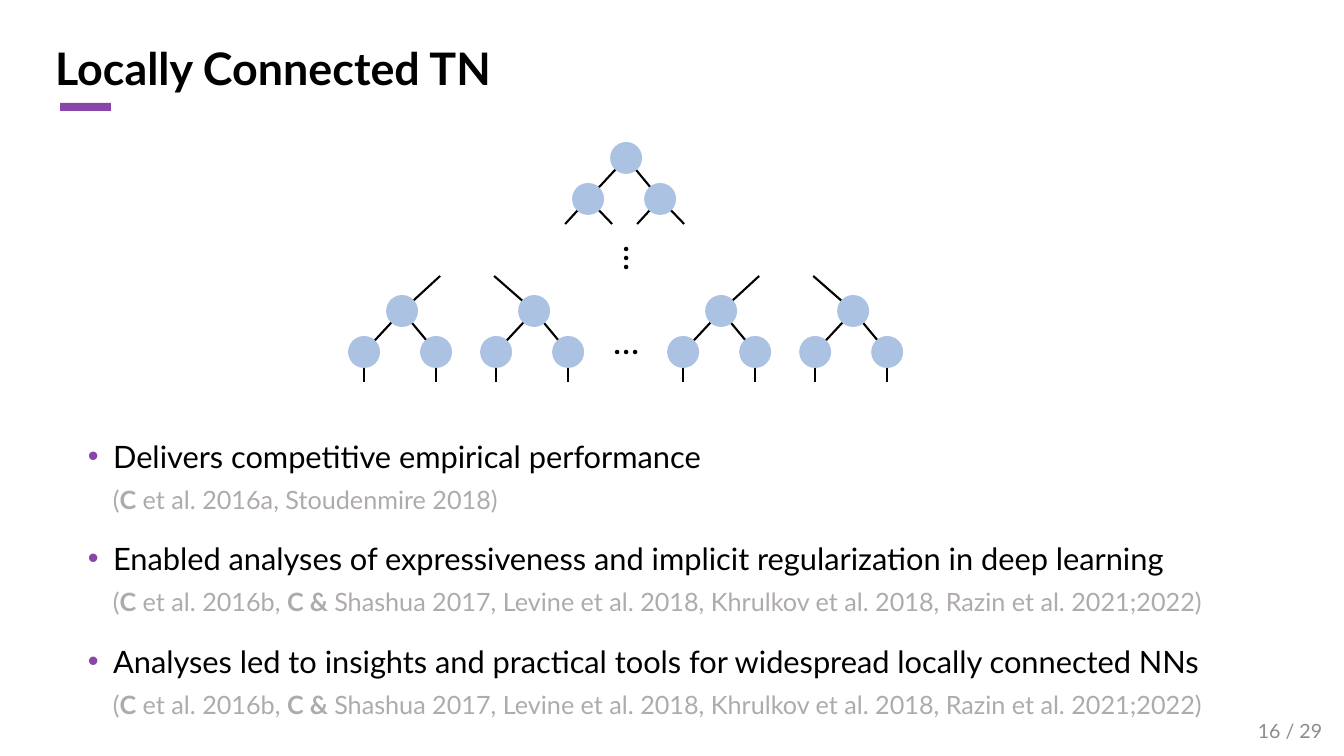
import pptx
import pptx.dml.color
import pptx.enum.shapes
import pptx.enum.text
import pptx.oxml.ns
import pptx.util
from lxml import etree

RGB = pptx.dml.color.RGBColor
BLACK = RGB(0x00, 0x00, 0x00)
PURPLE = RGB(0x89, 0x45, 0xAA)
NODE_BLUE = RGB(0xAC, 0xC2, 0xE2)
CITE_GRAY = RGB(0xAF, 0xAB, 0xAB)
PAGE_GRAY = RGB(0x8C, 0x8C, 0x8C)

SHAPE = pptx.enum.shapes.MSO_SHAPE
ALIGN = pptx.enum.text.PP_ALIGN
MIDDLE = pptx.enum.text.MSO_ANCHOR.MIDDLE
FONT = "Lato"
PX_PER_INCH = 100.8

# Tree geometry in px
NODE = 32
DOT = 3
LEFT_CHILD, RIGHT_CHILD, LEVEL = -38, 34, 41
MID_X = 626
TOP_Y, LOWER_Y = 158, 311
LOWER_ROOTS = [(402, 38), (534, -40), (721, 38), (853, -40)]  # x, run of the line up

MANY_WORKS = [
    ("(", False), ("C", True), (" et al. 2016b, ", False), ("C & ", True),
    ("Shashua 2017, Levine et al. 2018, Khrulkov et al. 2018, "
     "Razin et al. 2021;2022)", False),
]
POINTS = [
    ("Delivers competitive empirical performance",
     [("(", False), ("C", True), (" et al. 2016a, Stoudenmire 2018)", False)]),
    ("Enabled analyses of expressiveness and implicit regularization in deep learning",
     MANY_WORKS),
    ("Analyses led to insights and practical tools for widespread locally connected NNs",
     MANY_WORKS),
]


def px(n):
    return pptx.util.Emu(round(n * 914400 / PX_PER_INCH))


def add_runs(p, runs, size, color):
    for text, bold in runs:
        r = p.add_run()
        r.text = text
        r.font.name = FONT
        r.font.size = pptx.util.Pt(size)
        r.font.bold = bold
        r.font.color.rgb = color


def add_text(s, x, y, w, h, runs, size, color, spacing=1.1):
    tf = s.shapes.add_textbox(px(x), px(y), px(w), px(h)).text_frame
    tf.word_wrap = True
    p = tf.paragraphs[0]
    p.line_spacing = spacing
    add_runs(p, runs, size, color)
    return tf


def add_bullet(p):
    pPr = p._p.get_or_add_pPr()
    indent = pptx.util.Inches(0.25)
    pPr.set("marL", str(indent))
    pPr.set("indent", str(-indent))
    qn = pptx.oxml.ns.qn
    clr = etree.SubElement(pPr, qn("a:buClr"))
    etree.SubElement(clr, qn("a:srgbClr"), val=str(PURPLE))
    etree.SubElement(pPr, qn("a:buFont"), typeface="Arial")
    etree.SubElement(pPr, qn("a:buChar"), char="•")


def add_filled(s, kind, x, y, w, h, color):
    sp = s.shapes.add_shape(kind, px(x), px(y), px(w), px(h))
    sp.shadow.inherit = False
    sp.fill.solid()
    sp.fill.fore_color.rgb = color
    sp.line.fill.background()
    return sp


def add_node(s, x, y):
    add_filled(s, SHAPE.OVAL, x - NODE / 2, y - NODE / 2, NODE, NODE, NODE_BLUE)


def add_edge(s, x1, y1, x2, y2):
    line = s.shapes.add_connector(pptx.enum.shapes.MSO_CONNECTOR.STRAIGHT,
                                  px(x1), px(y1), px(x2), px(y2))
    line.line.color.rgb = BLACK
    line.line.width = pptx.util.Pt(1.5)
    etree.SubElement(line._element.spPr, pptx.oxml.ns.qn("a:effectLst"))


def add_dots(s, x, y, dx, dy):
    for i in (-1, 0, 1):
        sp = add_filled(s, SHAPE.OVAL, x + i * dx - DOT / 2, y + i * dy - DOT / 2,
                        DOT, DOT, BLACK)
        sp.line.color.rgb = BLACK
        sp.line.width = pptx.util.Pt(1)


def add_subtree(s, x, y, leg_runs, leg_drop):
    """Draw a root, its two children, and the open legs below each child."""
    children = [x + LEFT_CHILD, x + RIGHT_CHILD]
    child_y = y + LEVEL
    for cx in children:
        add_edge(s, x, y, cx, child_y)
        for run in leg_runs:
            add_edge(s, cx, child_y, cx + run, child_y + leg_drop)
    add_node(s, x, y)
    for cx in children:
        add_node(s, cx, child_y)


def add_tree(s):
    add_subtree(s, MID_X, TOP_Y, leg_runs=(-23, 24), leg_drop=25)
    for x, run in LOWER_ROOTS:
        add_edge(s, x, LOWER_Y, x + run, LOWER_Y - 35)
        add_subtree(s, x, LOWER_Y, leg_runs=(0,), leg_drop=30)
    add_dots(s, MID_X, 258, 0, 9)
    add_dots(s, MID_X, LOWER_Y + LEVEL, 9, 0)


def add_title(s, text):
    sp = s.shapes.title
    sp.left, sp.top, sp.width, sp.height = px(45), px(24), px(1159), px(93)
    tf = sp.text_frame
    tf.vertical_anchor = MIDDLE
    p = tf.paragraphs[0]
    p.alignment = ALIGN.LEFT
    p.line_spacing = 0.9
    add_runs(p, [(text, True)], 32, BLACK)
    add_filled(s, SHAPE.RECTANGLE, 60, 103, 51, 8, PURPLE)


def main():
    prs = pptx.Presentation()
    prs.slide_width = pptx.util.Inches(13.33)
    prs.slide_height = pptx.util.Inches(7.5)
    s = prs.slides.add_slide(prs.slide_layouts[5])

    # Title and tree diagram
    add_title(s, "Locally Connected TN")
    add_tree(s)

    # Points, each with its citations
    for i, (point, citation) in enumerate(POINTS):
        y = 429 + i * 205 // 2
        tf = add_text(s, 78, y, 1159, 58, [(point, False)], 22, BLACK)
        add_bullet(tf.paragraphs[0])
        add_text(s, 103, y + 47, 1163, 54, citation, 18, CITE_GRAY)

    # Page number
    tf = add_text(s, 1030, 711, 302, 40, [("16 / 29", False)], 14, PAGE_GRAY, spacing=1.0)
    tf.vertical_anchor = MIDDLE
    tf.paragraphs[0].alignment = ALIGN.RIGHT

    prs.save("out.pptx")


if __name__ == "__main__":
    main()
